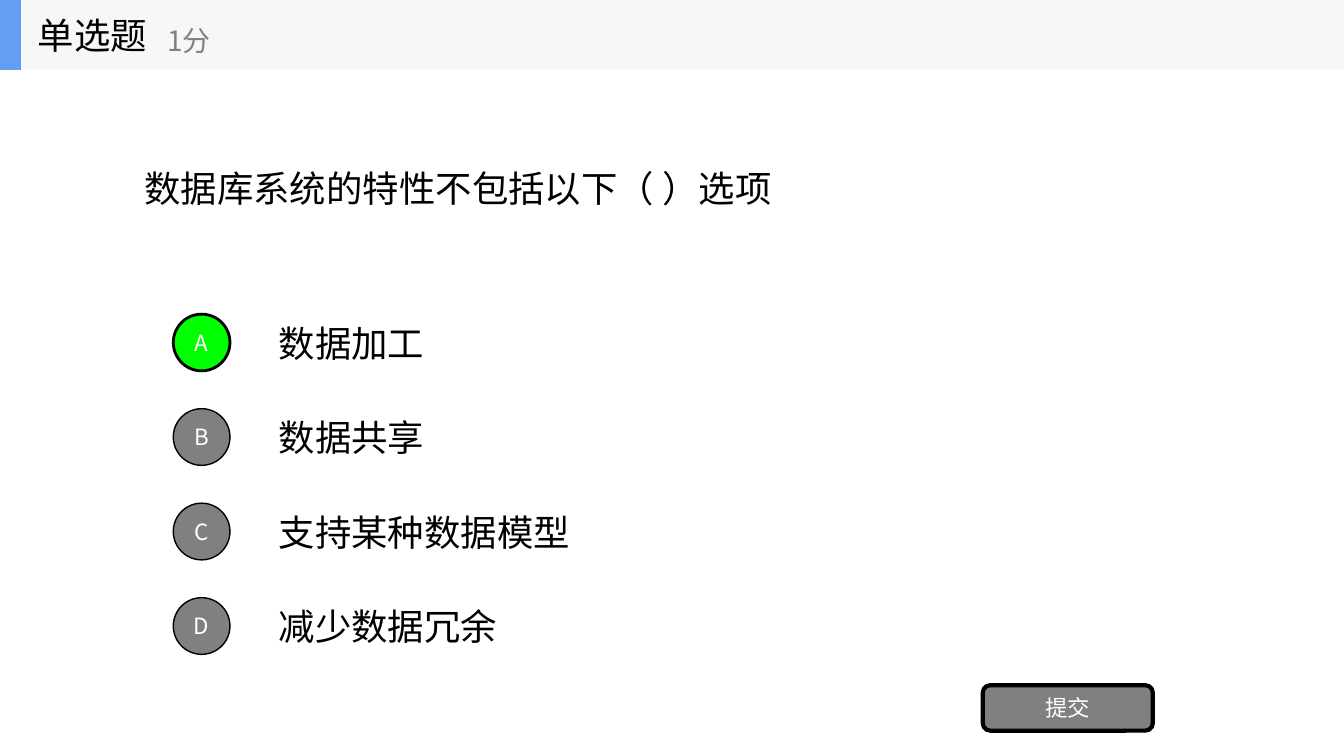
import pptx
import pptx.util
import pptx.dml.color
import pptx.enum.shapes
import pptx.enum.text
import pptx.oxml.xmlchemy

Pt = pptx.util.Pt
RGB = pptx.dml.color.RGBColor.from_string
MSO = pptx.enum.shapes.MSO_SHAPE
ALIGN = pptx.enum.text.PP_ALIGN

THEME = {
    "font": "Noto Sans CJK SC",
    "black": "000000",
    "white": "FFFFFF",
    "gray": "808080",
    "green": "00FF00",
    "bar": "F6F7F8",
    "accent": "639EF4",
    "body": 26,
    "score": 20,
    "button": 16,
}


def write(sp, text, size, color, align=ALIGN.LEFT, inset=7.2):
    tf = sp.text_frame
    frame = {
        "word_wrap": True,
        "vertical_anchor": pptx.enum.text.MSO_ANCHOR.MIDDLE,
        "margin_left": Pt(inset),
        "margin_right": Pt(inset),
    }
    for name, value in frame.items():
        setattr(tf, name, value)
    p = tf.paragraphs[0]
    p.alignment = align
    r = p.add_run()
    r.text = text
    for name, value in {"name": THEME["font"], "size": Pt(THEME[size])}.items():
        setattr(r.font, name, value)
    r.font.color.rgb = RGB(THEME[color])
    ea = pptx.oxml.xmlchemy.OxmlElement("a:ea")
    ea.set("typeface", THEME["font"])
    r.font._element.append(ea)


def add_box(s, kind, box, fill, line=0):
    sp = s.shapes.add_shape(kind, *map(Pt, box))
    sp.shadow.inherit = False
    sp.fill.solid()
    sp.fill.fore_color.rgb = RGB(THEME[fill])
    if line:
        sp.line.color.rgb = RGB(THEME["black"])
        sp.line.width = Pt(line)
    else:
        sp.line.fill.background()
    return sp


prs = pptx.Presentation()
prs.slide_width, prs.slide_height = Pt(960), Pt(540)
s = prs.slides.add_slide(prs.slide_layouts[6])

add_box(s, MSO.RECTANGLE, (0, 0, 960, 50), "bar")
add_box(s, MSO.RECTANGLE, (0, 0, 15, 50), "accent")

labels = [
    ("单选题", (20, 0, 150, 50), "body", "black"),
    ("1分", (112.5, 8.5, 180, 40), "score", "gray"),
    ("数据库系统的特性不包括以下（ ）选项", (96, 50, 768, 168.75), "body", "black"),
]
for text, box, size, color in labels:
    write(s.shapes.add_textbox(*map(Pt, box)), text, size, color)

options = ["数据加工", "数据共享", "支持某种数据模型", "减少数据冗余"]
selected = "A"
for i, (letter, option) in enumerate(zip("ABCD", options)):
    top = 219.4 + i * 67.5
    sp = s.shapes.add_textbox(Pt(192), Pt(top), Pt(672), Pt(50.5))
    write(sp, option, "body", "black")
    fill, line = ("green", 2) if letter == selected else ("gray", 1)
    sp = add_box(s, MSO.OVAL, (123.75, top + 5, 40.5, 40.5), fill, line)
    write(sp, letter, "button", "white", ALIGN.CENTER, 0)

submit = add_box(s, MSO.ROUNDED_RECTANGLE, (702, 489.4, 121.5, 32.5), "gray", 3)
write(submit, "提交", "button", "white", ALIGN.CENTER)

prs.save("out.pptx")
